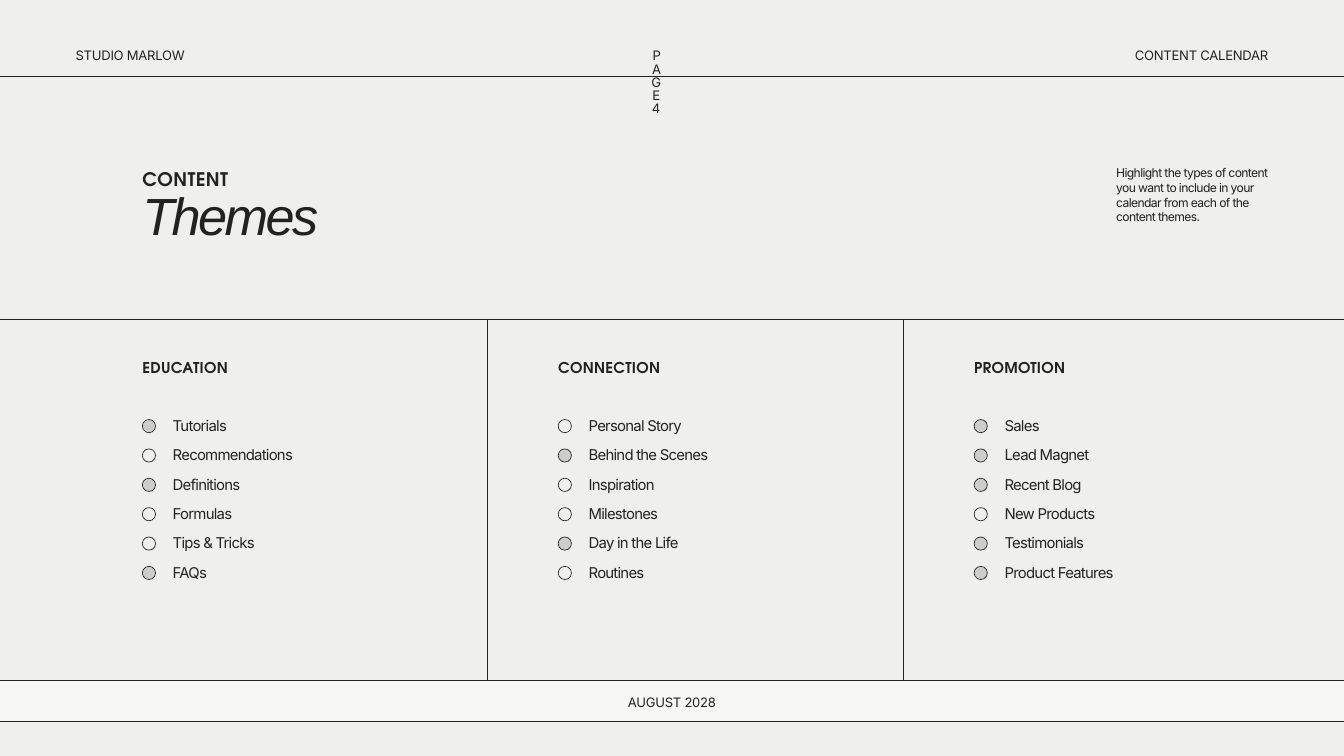
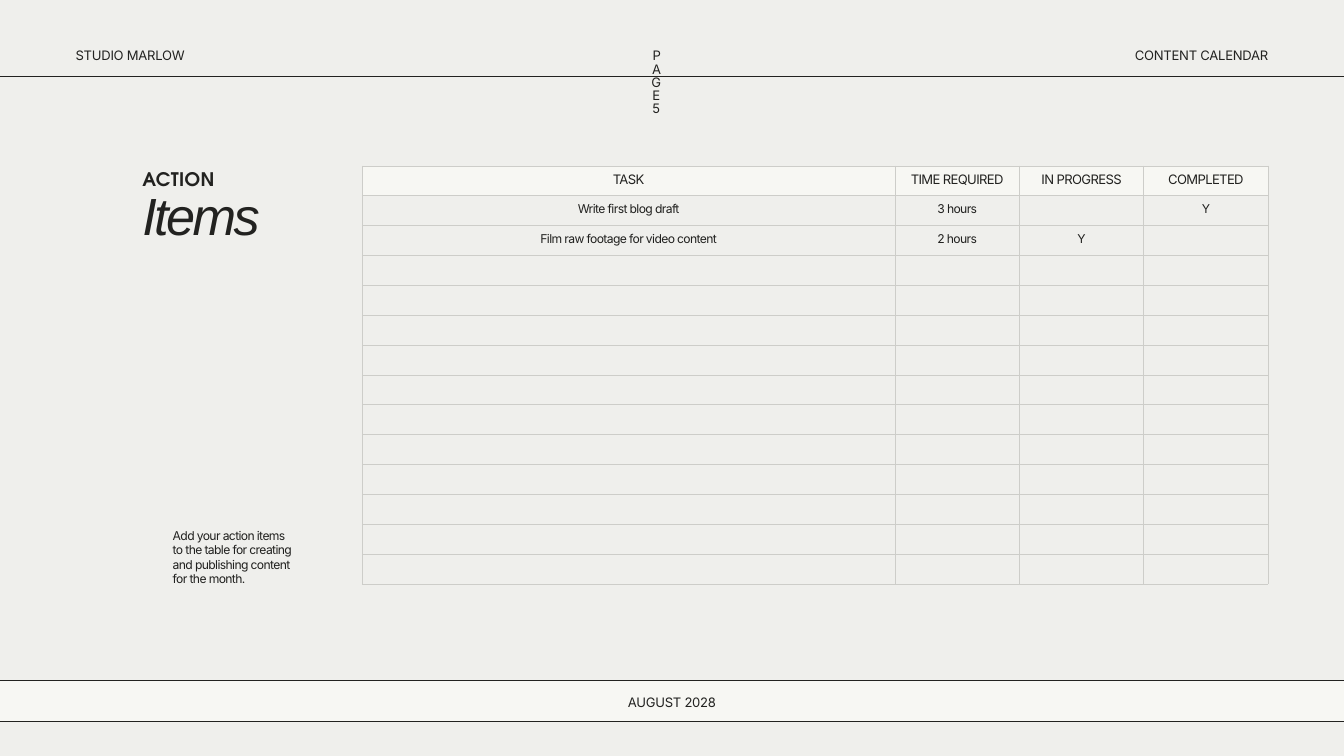
from dataclasses import dataclass

from lxml.etree import SubElement
from pptx import Presentation
from pptx.dml.color import RGBColor
from pptx.enum.shapes import MSO_CONNECTOR as Connector, MSO_SHAPE as Shape
from pptx.enum.text import MSO_ANCHOR as Anchor, PP_ALIGN as Align
from pptx.oxml.ns import qn
from pptx.util import Cm, Pt

INK, PAPER, BAND, GREY = "222220", "EFEFEC", "F7F7F3", "CDCDC9"
WIDTH, HEIGHT, BLEED = 50.8, 28.58, 1.06
LINE_WIDTH = 0.75


@dataclass
class Style:
    size: float
    leading: float
    spacing: float
    font: str = "Inter"
    bold: bool = False
    italic: bool = False


LABEL = Style(14, 14, -0.3)
KICKER = Style(20, 28, 0.4, "TeX Gyre Adventor", bold=True)
TITLE = Style(56, 56, -2.8, "Arial", italic=True)
NOTE = Style(13, 15.6, -0.65)
HEADING = Style(16, 22.4, 0.3, "TeX Gyre Adventor", bold=True)
ITEM = Style(16, 16, -0.8)
TABLE_HEAD = Style(14, 14, -0.7)
TABLE_BODY = Style(13, 13, -0.65)

STUDIO, DOCUMENT, MONTH = "STUDIO MARLOW", "CONTENT CALENDAR", "AUGUST 2028"

THEMES_NOTE = ("Highlight the types of content you want to include in your "
               "calendar from each of the content themes.")
THEMES = [
    ("EDUCATION", [
        ("Tutorials", True), ("Recommendations", False), ("Definitions", True),
        ("Formulas", False), ("Tips & Tricks", False), ("FAQs", True)]),
    ("CONNECTION", [
        ("Personal Story", False), ("Behind the Scenes", True), ("Inspiration", False),
        ("Milestones", False), ("Day in the Life", True), ("Routines", False)]),
    ("PROMOTION", [
        ("Sales", True), ("Lead Magnet", True), ("Recent Blog", True),
        ("New Products", False), ("Testimonials", True), ("Product Features", True)]),
]

ACTION_NOTE = ("Add your action items to the table for creating and "
               "publishing content for the month.")
TASKS = [
    ("TASK", "TIME REQUIRED", "IN PROGRESS", "COMPLETED"),
    ("Write first blog draft", "3 hours", "", "Y"),
    ("Film raw footage for video content", "2 hours", "Y", ""),
]
TASK_ROWS, TASK_ROW_HEIGHT = 14, 1.13
TASK_COLUMNS = (20.14, 4.7, 4.7, 4.7)

MARGIN = 5.38
HEADER_TOP, HEADER_LINE = 1.91, 2.9
BAND_TOP, BAND_HEIGHT = 25.72, 1.55
THEMES_LINE = 12.09
COLUMN_STEP, DIVIDER_GAP = 15.72, 2.67
HEADING_TOP, ITEMS_TOP, ITEM_STEP = 13.44, 15.86, 1.11
BULLET_SIZE, ITEM_INDENT = 0.5, 1.15


def color(value):
    return RGBColor.from_string(value)


def paint(shape, fill):
    shape.shadow.inherit = False
    if fill:
        shape.fill.solid()
        shape.fill.fore_color.rgb = color(fill)
    else:
        shape.fill.background()
    shape.line.color.rgb = color(INK)
    shape.line.width = Pt(LINE_WIDTH)


def write(text_frame, text, style, align=Align.LEFT):
    text_frame.text = text
    paragraph = text_frame.paragraphs[0]
    paragraph.alignment = align
    paragraph.line_spacing = Pt(style.leading)
    for run in paragraph.runs:
        font = run.font
        font.name, font.size = style.font, Pt(style.size)
        font.bold, font.italic = style.bold, style.italic
        font.color.rgb = color(INK)
        run._r.get_or_add_rPr().set("spc", str(round(style.spacing * 100)))


def clear_margins(holder):
    holder.margin_left = holder.margin_right = 0
    holder.margin_top = holder.margin_bottom = 0


def add_text(slide, text, style, left, top, width, height, align=Align.LEFT):
    box = slide.shapes.add_textbox(Cm(left), Cm(top), Cm(width), Cm(height))
    box.text_frame.word_wrap = True
    clear_margins(box.text_frame)
    write(box.text_frame, text, style, align)


def add_line(slide, left, top, right, bottom):
    line = slide.shapes.add_connector(
        Connector.STRAIGHT, Cm(left), Cm(top), Cm(right), Cm(bottom))
    line.line.color.rgb = color(INK)
    line.line.width = Pt(LINE_WIDTH)
    SubElement(line._element.spPr, qn("a:effectLst"))


def add_band(slide):
    band = slide.shapes.add_shape(
        Shape.RECTANGLE, Cm(-BLEED), Cm(BAND_TOP), Cm(WIDTH + 2 * BLEED), Cm(BAND_HEIGHT))
    paint(band, BAND)
    clear_margins(band.text_frame)
    band.text_frame.margin_top = Cm(0.2)
    band.text_frame.vertical_anchor = Anchor.MIDDLE
    write(band.text_frame, MONTH, LABEL, Align.CENTER)


def add_page(presentation, number, kicker, title):
    slide = presentation.slides.add_slide(presentation.slide_layouts[6])
    slide.background.fill.solid()
    slide.background.fill.fore_color.rgb = color(PAPER)
    add_line(slide, 0, HEADER_LINE, WIDTH, HEADER_LINE)
    add_text(slide, STUDIO, LABEL, 2.86, HEADER_TOP, 8.3, 0.53)
    add_text(slide, f"PAGE {number}", LABEL, 24.59, HEADER_TOP, 0.43, 2.4, Align.CENTER)
    add_text(slide, DOCUMENT, LABEL, 39.64, HEADER_TOP, 8.3, 0.53, Align.RIGHT)
    add_text(slide, kicker, KICKER, MARGIN, 6.2, 12.5, 0.91)
    add_text(slide, title, TITLE, MARGIN, 7.32, 12.5, 2.08)
    add_band(slide)
    return slide


def add_theme(slide, left, heading, items):
    add_text(slide, heading, HEADING, left, HEADING_TOP, 9.83, 0.74)
    for row, (item, chosen) in enumerate(items):
        top = ITEMS_TOP + row * ITEM_STEP
        bullet = slide.shapes.add_shape(
            Shape.OVAL, Cm(left), Cm(top), Cm(BULLET_SIZE), Cm(BULLET_SIZE))
        paint(bullet, GREY if chosen else None)
        add_text(slide, item, ITEM, left + ITEM_INDENT, top, 9.25, 0.58)


def add_borders(cell):
    properties = cell._tc.get_or_add_tcPr()
    for side in ("lnL", "lnR", "lnT", "lnB"):
        border = SubElement(properties, qn(f"a:{side}"), w=str(Pt(LINE_WIDTH)))
        fill = SubElement(border, qn("a:solidFill"))
        SubElement(fill, qn("a:srgbClr"), val=GREY)


def add_tasks(slide, left, top):
    table = slide.shapes.add_table(
        TASK_ROWS, len(TASK_COLUMNS), Cm(left), Cm(top),
        Cm(sum(TASK_COLUMNS)), Cm(TASK_ROWS * TASK_ROW_HEIGHT)).table
    table.first_row = table.horz_banding = False
    for column, width in zip(table.columns, TASK_COLUMNS):
        column.width = Cm(width)
    for row in table.rows:
        row.height = Cm(TASK_ROW_HEIGHT)
    for cell in table.iter_cells():
        clear_margins(cell)
        cell.vertical_anchor = Anchor.MIDDLE
        add_borders(cell)
        cell.fill.background()
    for row, texts in enumerate(TASKS):
        for column, text in enumerate(texts):
            cell = table.cell(row, column)
            write(cell.text_frame, text, TABLE_BODY if row else TABLE_HEAD, Align.CENTER)
            if row == 0:
                cell.fill.solid()
                cell.fill.fore_color.rgb = color(BAND)


def build_themes(presentation):
    slide = add_page(presentation, 4, "CONTENT", "Themes")
    add_text(slide, THEMES_NOTE, NOTE, 42.19, 6.27, 5.8, 2.11)
    add_line(slide, 0, THEMES_LINE, WIDTH, THEMES_LINE)
    for index, (heading, items) in enumerate(THEMES):
        left = MARGIN + index * COLUMN_STEP
        if index:
            divider = left - DIVIDER_GAP
            add_line(slide, divider, THEMES_LINE, divider, BAND_TOP)
        add_theme(slide, left, heading, items)


def build_actions(presentation):
    slide = add_page(presentation, 5, "ACTION", "Items")
    add_tasks(slide, 13.69, 6.27)
    add_text(slide, ACTION_NOTE, NOTE, MARGIN + ITEM_INDENT, 19.96, 4.62, 2.11)


def main():
    presentation = Presentation()
    presentation.slide_width, presentation.slide_height = Cm(WIDTH), Cm(HEIGHT)
    build_themes(presentation)
    build_actions(presentation)
    presentation.save("out.pptx")


if __name__ == "__main__":
    main()
